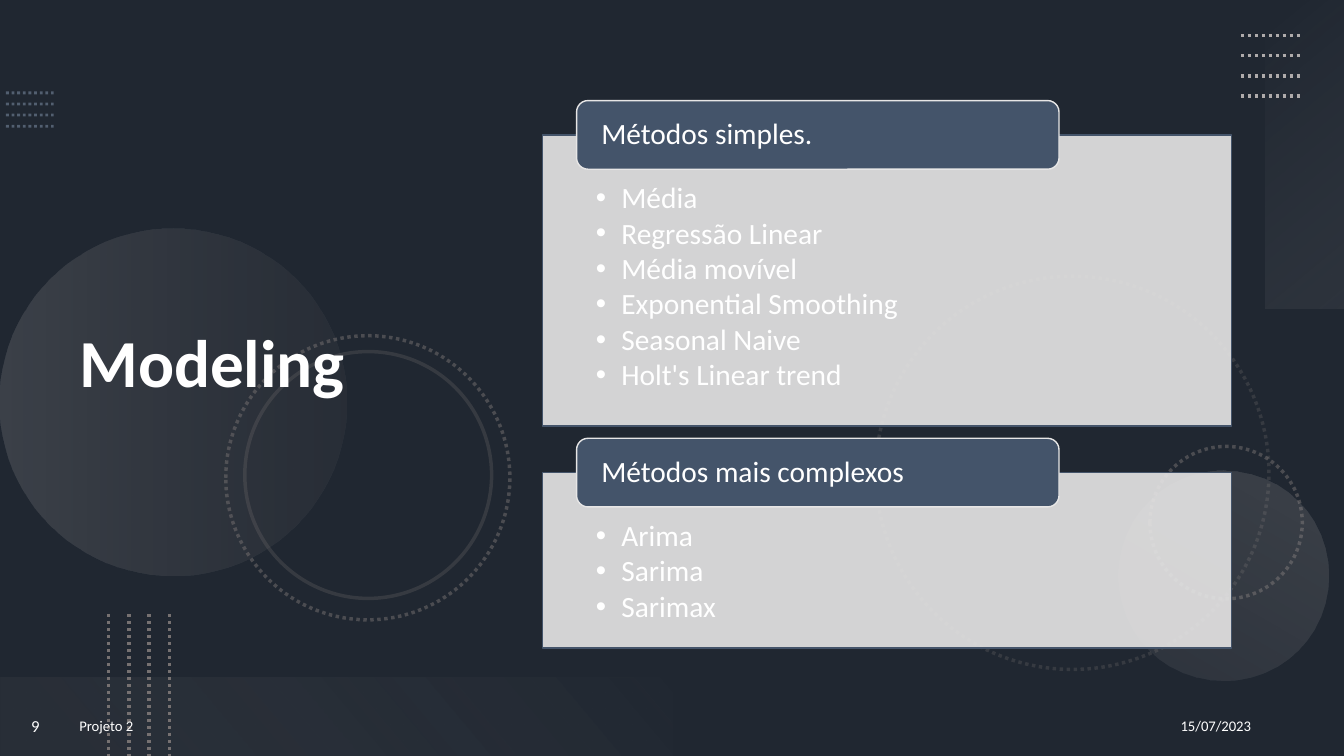
from lxml.etree import SubElement
from pptx import Presentation
from pptx.dml.color import RGBColor
from pptx.enum.dml import MSO_LINE_DASH_STYLE as Dash
from pptx.enum.shapes import MSO_CONNECTOR as Link, MSO_SHAPE as Shape
from pptx.enum.text import MSO_ANCHOR as Anchor, PP_ALIGN as Align
from pptx.oxml.ns import qn
from pptx.util import Cm, Pt

SLATE = RGBColor(0x44, 0x54, 0x6A)
STEEL = RGBColor(0x84, 0x97, 0xB0)
BLACK = RGBColor(0, 0, 0)
WHITE = RGBColor(0xFF, 0xFF, 0xFF)
PALE = RGBColor(0xE7, 0xE6, 0xE6)
MIST = RGBColor(0xF5, 0xF5, 0xF5)
SILVER = RGBColor(0xAF, 0xAB, 0xAB)
GRAY = RGBColor(0x76, 0x71, 0x71)

WIDTH, HEIGHT = 33.87, 19.05
FONT = "Calibri"
TAB_HEIGHT, TAB_SHIFT = 1.73, 0.86


def set_opacity(shape, *percents):
    """Apply opacities to the shape's colours, in fill-then-line order."""
    colors = shape.element.spPr.iter(qn("a:srgbClr"))
    for color, percent in zip(colors, percents):
        SubElement(color, qn("a:alpha"), val=str(percent * 1000))


def set_line(shape, color, width, dash=None):
    shape.line.color.rgb = color
    shape.line.width = Pt(width)
    if dash:
        shape.line.dash_style = dash


def add_box(page, kind, box, fill=None):
    shape = page.shapes.add_shape(kind, *map(Cm, box))
    shape.shadow.inherit = False
    shape.line.fill.background()
    if fill is None:
        shape.fill.background()
    else:
        shape.fill.solid()
        shape.fill.fore_color.rgb = fill
    return shape


def add_gradient(page, kind, box, rotation, angle, stops):
    shape = add_box(page, kind, box)
    shape.rotation = rotation
    shape.fill.gradient()
    shape.fill.gradient_angle = 360 - angle
    for stop, (position, color, _) in zip(shape.fill.gradient_stops, stops):
        stop.position = position
        stop.color.rgb = color
    set_opacity(shape, *(opacity for _, _, opacity in stops))


def add_ring(page, left, top, size, opacity, dash=None):
    ring = add_box(page, Shape.OVAL, (left, top, size, size))
    set_line(ring, GRAY, 2.5, dash)
    set_opacity(ring, opacity)


def add_dots(page, box, step, color, width, opacity=100, vertical=False):
    """Draw four parallel dotted lines; box is left, top and line length."""
    left, top, length = box
    for index in range(4):
        x = left + index * step * vertical
        y = top + index * step * (not vertical)
        end = (x, y + length) if vertical else (x + length, y)
        line = page.shapes.add_connector(Link.STRAIGHT, *map(Cm, (x, y, *end)))
        set_line(line, color, width, Dash.ROUND_DOT)
        set_opacity(line, opacity)
        SubElement(line.element.spPr, qn("a:effectLst"))


def write(shape, lines, size, insets, anchor, paragraph_format, bold=False, bullet=False):
    frame = shape.text_frame
    frame_format = dict(zip(
        ("margin_left", "margin_top", "margin_right", "margin_bottom"), map(Cm, insets)))
    frame_format |= {"word_wrap": True, "vertical_anchor": anchor}
    for name, value in frame_format.items():
        setattr(frame, name, value)
    for index, text in enumerate(lines):
        para = frame.add_paragraph() if index else frame.paragraphs[0]
        for name, value in paragraph_format.items():
            setattr(para, name, value)
        if bullet:
            properties = para._p.get_or_add_pPr()
            properties.set("marL", str(Cm(0.64)))
            properties.set("indent", str(-Cm(0.64)))
            SubElement(properties, qn("a:buFont"), typeface="Arial")
            SubElement(properties, qn("a:buChar"), char="•")
        span = para.add_run()
        span.text = text
        span.font.color.rgb = WHITE
        for name, value in {"name": FONT, "size": Pt(size), "bold": bold}.items():
            setattr(span.font, name, value)


def draw_backdrop(page):
    page.background.fill.solid()
    page.background.fill.fore_color.rgb = SLATE
    set_opacity(add_box(page, Shape.RECTANGLE, (0, 0, WIDTH, HEIGHT), BLACK), 53)
    add_dots(page, (0.15, 2.34, 1.2), 0.28, STEEL, 2, 50)

    # Circles and rings
    add_ring(page, 22.07, 6.96, 9.91, 25, Dash.ROUND_DOT)
    add_ring(page, 28.98, 11.25, 3.84, 50, Dash.ROUND_DOT)
    add_gradient(page, Shape.OVAL, (0, 5.77, 8.74, 8.74), 270, 90,
                 [(0, SILVER, 20), (1, GRAY, 10)])
    add_gradient(page, Shape.OVAL, (28.19, 11.86, 5.28, 5.28), 210, 90,
                 [(0, SILVER, 10), (1, SILVER, 20)])
    add_ring(page, 5.69, 8.46, 7.16, 50, Dash.ROUND_DOT)
    add_ring(page, 6.17, 8.86, 6.22, 25)

    # Edge bands and dotted lines
    add_gradient(page, Shape.RECTANGLE, (29.01, 2.9, 7.77, 1.98), 270, 140,
                 [(0, MIST, 0), (1, SILVER, 10)])
    add_dots(page, (31.27, 0.89, 1.52), 0.51, SILVER, 2.5)
    add_gradient(page, Shape.RECTANGLE, (0, 17.07, 16.94, 1.98), 180, 140,
                 [(0.1, GRAY, 10), (1, PALE, 0)])
    add_dots(page, (2.74, 15.47, 3.58), 0.51, GRAY, 2.5, vertical=True)


def place_title(page, box, text):
    title = page.shapes.title
    for name, value in zip(("left", "top", "width", "height"), map(Cm, box)):
        setattr(title, name, value)
    write(title, [text], 48, (0.25, 0.13, 0.25, 0.13), Anchor.MIDDLE,
          {"alignment": Align.LEFT, "line_spacing": 0.9}, bold=True)


def draw_footer(page, top, height):
    for text, left, width, size, align in (
        ("Projeto 2", 1.75, 23.11, 10.5, Align.JUSTIFY),
        ("9", 0, 1.78, 12, Align.CENTER),
        ("15/07/2023", 25.43, 6.35, 10.5, Align.RIGHT),
    ):
        box = page.shapes.add_textbox(*map(Cm, (left, top, width, height)))
        write(box, [text], size, (0.25, 0.13, 0.25, 0.13), Anchor.MIDDLE,
              {"alignment": align, "space_after": Pt(6)})


def draw_methods(page, box, heading, methods):
    left, top, width, _ = box
    # Panel with the list of methods
    panel = add_box(page, Shape.RECTANGLE, box, PALE)
    set_line(panel, SLATE, 1)
    set_opacity(panel, 90)
    write(panel, methods, 21, (1.35, 1.22, 1.35, 0.41), Anchor.TOP,
          {"alignment": Align.LEFT, "line_spacing": 0.9, "space_after": Pt(2.6)},
          bullet=True)
    # Heading tab over the top edge
    tab = add_box(page, Shape.ROUNDED_RECTANGLE,
                  (left + TAB_SHIFT, top - TAB_HEIGHT / 2, width * 0.7, TAB_HEIGHT), SLATE)
    set_line(tab, PALE, 1)
    write(tab, [heading], 21, (0.54, 0, 0.54, 0), Anchor.MIDDLE,
          {"alignment": Align.LEFT, "line_spacing": 0.9})


def main():
    deck = Presentation()
    deck.slide_width, deck.slide_height = Cm(WIDTH), Cm(HEIGHT)
    page = deck.slides.add_slide(deck.slide_layouts[5])
    draw_backdrop(page)
    # Bring the title in front of the backdrop
    page.shapes.element.append(page.shapes.title.element)
    place_title(page, (1.75, 1.37, 11.66, 15.67), "Modeling")
    draw_footer(page, 17.53, 1.52)
    draw_methods(page, (13.67, 3.4, 17.37, 7.34), "Métodos simples.",
                 ["Média", "Regressão Linear", "Média movível",
                  "Exponential Smoothing", "Seasonal Naive", "Holt's Linear trend"])
    draw_methods(page, (13.67, 11.91, 17.37, 4.42), "Métodos mais complexos",
                 ["Arima", "Sarima", "Sarimax"])
    deck.save("out.pptx")


if __name__ == "__main__":
    main()
